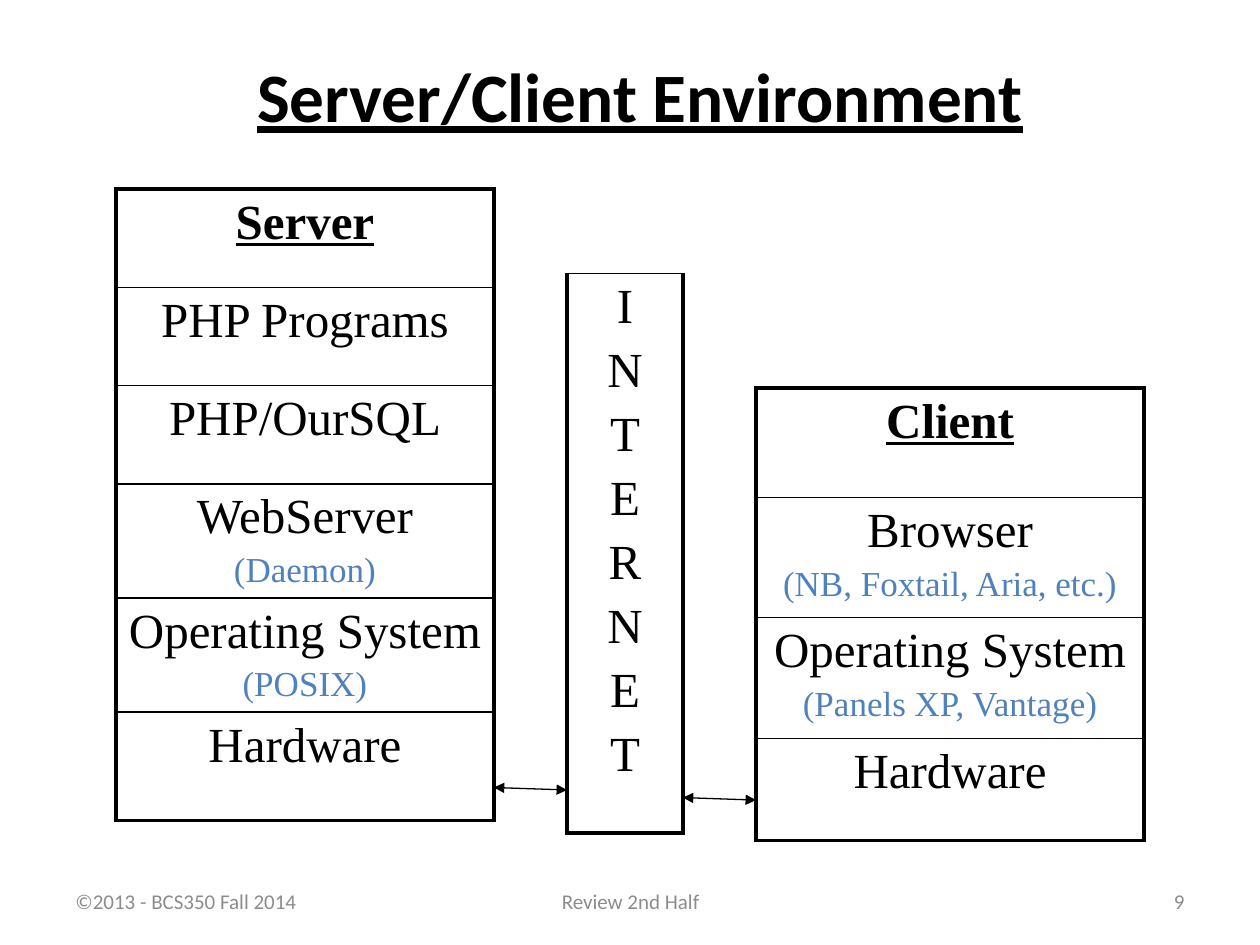
import pptx
import pptx.util
import pptx.dml.color
import pptx.enum.text
import pptx.enum.shapes
import pptx.oxml.ns
from lxml import etree

Inch, Pt = pptx.util.Inches, pptx.util.Pt
Align = pptx.enum.text.PP_ALIGN
qn = pptx.oxml.ns.qn

# Content
INK = {"text": "000000", "note": "4F81BD", "foot": "8C8C8C", "line": "000000"}
SERIF, SANS = "Times New Roman", "Calibri"
TITLE = "Server/Client Environment"
SERVER = [["Server"], ["PHP Programs"], ["PHP/OurSQL"],
          ["WebServer", "(Daemon)"], ["Operating System", "(POSIX)"],
          ["Hardware"]]
CLIENT = [["Client"], ["Browser", "(NB, Foxtail, Aria, etc.)"],
          ["Operating System", "(Panels XP, Vantage)"], ["Hardware"]]
NET = [list("INTERNET")]

# Left, top, width, row heights, cell lines, heading row
STACKS = [
    (0.92, 1.5, 3, [0.78] * 3 + [0.9] * 2 + [0.86], SERVER, True),
    (6, 3.08, 3.08, [0.87, 0.95, 0.96, 0.81], CLIENT, True),
    (4.5, 2.17, 0.92, [4.44], NET, False),
]
ARROWS = [(3.92, 6.25, 4.5, 6.27), (5.42, 6.33, 6, 6.35)]
FOOT = [(0.5, 2.33, "©2013 - BCS350 Fall 2014", Align.LEFT),
        (3.42, 3.17, "Review 2nd Half", Align.CENTER),
        (7.17, 2.33, "9", Align.RIGHT)]

deck = pptx.Presentation()
deck.slide_width, deck.slide_height = Inch(10), Inch(7.5)
slide = deck.slides.add_slide(deck.slide_layouts[6])


def style(para, size, face, ink, align, head=False):
    para.alignment = align
    for run in para.runs:
        font = run.font
        font.size, font.name = Pt(size), face
        font.bold = font.underline = head
        font.color.rgb = pptx.dml.color.RGBColor.from_string(INK[ink])


def label(box, text, size, ink, align, head=False):
    frame = slide.shapes.add_textbox(*map(Inch, box)).text_frame
    frame.word_wrap = True
    frame.vertical_anchor = pptx.enum.text.MSO_ANCHOR.MIDDLE
    frame.text = text
    style(frame.paragraphs[0], size, SANS, ink, align, head)


def edge(side, width):
    line = etree.Element(qn("a:ln" + side), w=str(Pt(width)))
    fill = etree.SubElement(line, qn("a:solidFill"))
    etree.SubElement(fill, qn("a:srgbClr"), val=INK["line"])
    return line


def stack(left, top, width, rows, cells, titled):
    shape = slide.shapes.add_table(len(rows), 1, Inch(left), Inch(top),
                                   Inch(width), Inch(sum(rows)))
    table = shape.table
    table.first_row = table.horz_banding = False
    for i, (high, lines) in enumerate(zip(rows, cells)):
        table.rows[i].height = Inch(high)
        cell = table.cell(i, 0)
        cell.margin_left = cell.margin_right = Inch(0.05)
        cell.margin_bottom = 0
        cell.text_frame.text = "\n".join(lines)
        head = titled and i == 0
        for j, para in enumerate(cell.text_frame.paragraphs):
            note = lines[j].startswith("(")
            size = 20 if note else 28
            # Gap of a fifth of the text size between lines
            para.space_before = Pt(size * 0.2 if j else 0)
            style(para, size, SERIF, "note" if note else "text",
                  Align.CENTER, head)
        cell.fill.background()
        # Heavy outer frame, thin inner rules
        last = i == len(rows) - 1
        sides = {"L": 2.25, "R": 2.25, "T": 2.25 if head else 1,
                 "B": 2.25 if last else 1}
        props = cell._tc.get_or_add_tcPr()
        for n, (side, wide) in enumerate(sides.items()):
            props.insert(n, edge(side, wide))


# Title and stacks
label((0.83, 0.42, 8.5, 0.67), TITLE, 39.6, "text", Align.CENTER, True)
for item in STACKS:
    stack(*item)

# Two-way arrows
for ends in ARROWS:
    link = slide.shapes.add_connector(
        pptx.enum.shapes.MSO_CONNECTOR.STRAIGHT, *map(Inch, ends))
    link.line.width = Pt(0.75)
    link.line.color.rgb = pptx.dml.color.RGBColor.from_string(INK["line"])
    for tip in ("a:headEnd", "a:tailEnd"):
        etree.SubElement(link.line._get_or_add_ln(), qn(tip), type="triangle")
    etree.SubElement(link._element.spPr, qn("a:effectLst"))

# Footer
for left, width, text, align in FOOT:
    label((left, 6.95, width, 0.4), text, 12, "foot", align)

deck.save("out.pptx")
